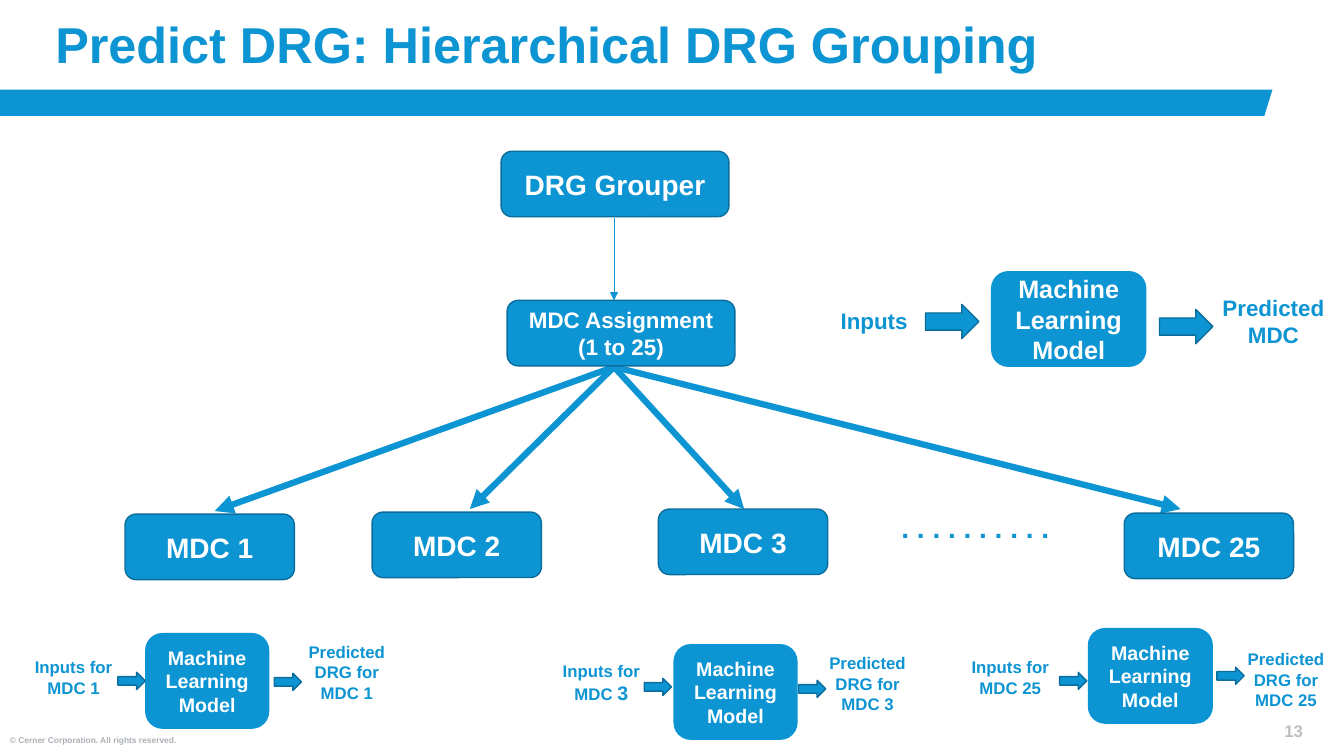
from dataclasses import dataclass

from lxml import etree
from pptx import Presentation
from pptx.dml.color import RGBColor
from pptx.enum import shapes, text
from pptx.oxml import ns
from pptx.util import Inches, Pt


@dataclass(frozen=True)
class Theme:
    """Colours, typeface and type sizes of the slide."""
    blue: str = "0D94D2"
    edge: str = "0A6D9B"
    white: str = "FFFFFF"
    footer: str = "ACB1B6"
    number: str = "BFBFBF"
    face: str = "Arial"
    title: int = 36
    node: int = 20
    model: int = 18
    label: int = 16
    small_model: int = 14
    small_label: int = 12
    copyright: int = 6


THEME = Theme()
CENTER = text.PP_ALIGN.CENTER
LEFT = text.PP_ALIGN.LEFT
MIDDLE = text.MSO_ANCHOR.MIDDLE
TOP = text.MSO_ANCHOR.TOP
PRESET = shapes.MSO_SHAPE


def color(value):
    """Turn a hex value into a colour."""
    return RGBColor.from_string(value)


def apply(target, values):
    """Set each named attribute on the target."""
    for name, value in values.items():
        setattr(target, name, value)


def write(shape, lines, size, ink, align=CENTER, anchor=TOP, spacing=1.0):
    """Fill a shape with lines, each a string or a list of (string, size) runs."""
    frame = shape.text_frame
    apply(frame, {"word_wrap": True, "vertical_anchor": anchor})
    for index, line in enumerate(lines):
        paragraph = frame.add_paragraph() if index else frame.paragraphs[0]
        apply(paragraph, {"alignment": align, "line_spacing": spacing})
        for words, points in [(line, size)] if isinstance(line, str) else line:
            run = paragraph.add_run()
            run.text = words
            apply(run.font, {"name": THEME.face, "size": Pt(points), "bold": True})
            run.font.color.rgb = color(ink)


def add_label(slide, box, lines, size, ink=THEME.blue, **layout):
    """Add a text box."""
    write(slide.shapes.add_textbox(*map(Inches, box)), lines, size, ink, **layout)


def add_block(slide, preset, box, edge=THEME.edge, width=1):
    """Add a filled preset shape with an outline."""
    shape = slide.shapes.add_shape(preset, *map(Inches, box))
    shape.shadow.inherit = False
    shape.fill.solid()
    shape.fill.fore_color.rgb = color(THEME.blue)
    shape.line.color.rgb = color(edge)
    shape.line.width = Pt(width)
    return shape


def add_node(slide, box, lines, size=THEME.node):
    """Add a tree node."""
    node = add_block(slide, PRESET.ROUNDED_RECTANGLE, box)
    write(node, lines, size, THEME.white, anchor=MIDDLE)


def add_arrow(slide, start, end, width):
    """Add a straight connector with an arrowhead at its end."""
    arrow = slide.shapes.add_connector(
        shapes.MSO_CONNECTOR.STRAIGHT, *map(Inches, (*start, *end)))
    arrow.line.color.rgb = color(THEME.blue)
    arrow.line.width = Pt(width)
    etree.SubElement(arrow.line._get_or_add_ln(), ns.qn("a:tailEnd"), type="triangle")
    etree.SubElement(arrow._element.spPr, ns.qn("a:effectLst"))


def add_header(slide, box):
    """Add the title and the slanted band below it."""
    left, top, width, height = box
    add_label(slide, (left + 0.45, top, 11.5, 0.94),
              ["Predict DRG: Hierarchical DRG Grouping"], THEME.title,
              align=LEFT, anchor=MIDDLE, spacing=0.9)
    bottom = top + height
    outline = [(left, bottom), (left + width - 0.08, bottom),
               (left + width, bottom - 0.26), (left, bottom - 0.26)]
    points = [(Inches(x), Inches(y)) for x, y in outline]
    builder = slide.shapes.build_freeform(*points[0])
    builder.add_line_segments(points[1:], close=True)
    band = builder.convert_to_shape()
    band.shadow.inherit = False
    band.fill.solid()
    band.fill.fore_color.rgb = color(THEME.blue)
    band.line.fill.background()


def add_footer(slide, box):
    """Add the copyright line and the slide number."""
    left, top, width, height = box
    add_label(slide, (left, top + 0.14, width, 0.2),
              ["© Cerner Corporation. All rights reserved."],
              THEME.copyright, THEME.footer, align=LEFT)
    add_label(slide, (left + 12.64, top, 0.46, 0.3), ["13"],
              THEME.small_label, THEME.number, align=LEFT)


def add_tree(slide, box):
    """Add the grouper, the assignment and the fan of category nodes."""
    left, top, width, height = box
    hub = left + 4.85
    branches = [("MDC 1", 0, 3.6, 0.89, 3.57), ("MDC 2", 2.45, 3.58, 3.42, 3.55),
                ("MDC 3", 5.29, 3.55, 6.14, 3.55), ("MDC 25", 9.91, 3.59, 10.47, 3.55)]
    for name, x, y, tip_x, tip_y in branches:
        add_arrow(slide, (hub, top + 2.14), (left + tip_x, top + tip_y), 4.5)
        add_node(slide, (left + x, top + y, 1.68, 0.65), [name])
    add_arrow(slide, (hub, top + 0.66), (hub, top + 1.48), 0.5)
    add_node(slide, (left + 3.73, top, 2.26, 0.65), ["DRG Grouper"])
    add_node(slide, (left + 3.79, top + 1.48, 2.26, 0.65),
             ["MDC Assignment", "(1 to 25)"], THEME.label)
    add_label(slide, (left + 7.56, top + 3.52, 1.75, 0.44),
              [". . . . . . . . . ."], THEME.node)


def add_flow(slide, box, source, result, arrows, arrow_size, model_size, label_size):
    """Add a model in its box, with arrows and labels offset from its corner."""
    left, top = box[:2]
    model = add_block(slide, PRESET.ROUNDED_RECTANGLE, box, THEME.blue, 3)
    write(model, ["Machine Learning Model"], model_size, THEME.white, anchor=MIDDLE)
    for x, y in arrows:
        add_block(slide, PRESET.RIGHT_ARROW, (left + x, top + y, *arrow_size))
    for words, (x, y, width, height) in (source, result):
        add_label(slide, (left + x, top + y, width, height), [words], label_size)


def add_flows(slide):
    """Add the assignment flow and the flows of the categories."""
    add_flow(slide, (9.85, 2.71, 1.5, 0.91),
             ("Inputs", (-2.13, 0.29, 1.9, 0.37)),
             ("Predicted MDC", (2.08, 0.16, 1.4, 0.64)),
             [(-0.67, 0.31), (1.65, 0.36)], (0.53, 0.34), THEME.model, THEME.label)
    three = [("Inputs for MDC ", THEME.small_label), ("3", THEME.small_model)]
    category_flows = [
        ((1.46, 6.3, 1.19, 0.91),
         ("Inputs for MDC 1", (-1.26, 0.17, 1.06, 0.5)),
         ("Predicted DRG for MDC 1", (1.39, 0.02, 1.18, 0.71)),
         [(-0.29, 0.37), (1.26, 0.38)]),
        ((6.7, 6.41, 1.19, 0.91),
         (three, (-1.3, 0.1, 1.13, 0.54)),
         ("Predicted DRG for MDC 3", (1.36, 0.02, 1.09, 0.71)),
         [(-0.31, 0.32), (1.22, 0.34)]),
        ((10.81, 6.25, 1.2, 0.91),
         ("Inputs for MDC 25", (-1.37, 0.22, 1.16, 0.5)),
         ("Predicted DRG for MDC 25", (1.4, 0.14, 1.09, 0.71)),
         [(-0.3, 0.42), (1.26, 0.37)]),
    ]
    for flow in category_flows:
        add_flow(slide, *flow, (0.27, 0.17), THEME.small_model, THEME.small_label)


def main():
    """Build and save the presentation."""
    presentation = Presentation()
    apply(presentation, {"slide_width": Inches(13.33), "slide_height": Inches(7.5)})
    slide = presentation.slides.add_slide(presentation.slide_layouts[6])
    add_header(slide, (0, 0, 12.62, 1.15))
    add_footer(slide, (0, 7.1, 13.24, 0.4))
    add_tree(slide, (1.24, 1.5, 11.59, 4.25))
    add_flows(slide)
    presentation.save("out.pptx")


if __name__ == "__main__":
    main()
